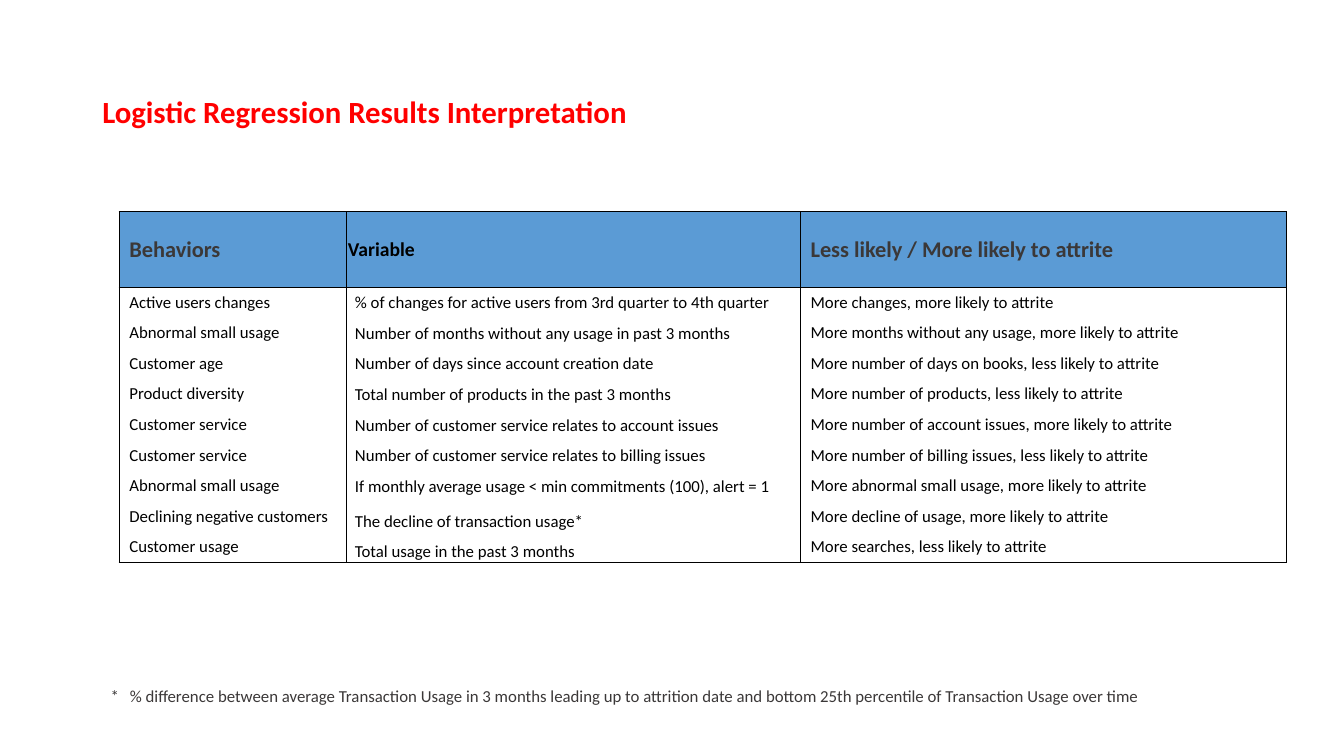
from collections import namedtuple

from lxml import etree
from pptx import Presentation
from pptx.dml.color import RGBColor
from pptx.enum.text import MSO_ANCHOR
from pptx.oxml.ns import qn
from pptx.util import Inches, Pt

TOP, MIDDLE, BOTTOM = MSO_ANCHOR.TOP, MSO_ANCHOR.MIDDLE, MSO_ANCHOR.BOTTOM
RED = RGBColor(0xFF, 0x00, 0x00)
BLACK = RGBColor(0x00, 0x00, 0x00)
WHITE = RGBColor(0xFF, 0xFF, 0xFF)
CHARCOAL = RGBColor(0x3B, 0x38, 0x38)
BLUE = RGBColor(0x5B, 0x9B, 0xD5)

SLIDE_WIDTH, SLIDE_HEIGHT = 13.33, 7.5
GRID_COLUMNS, GRID_ROWS = 160, 90
Box = namedtuple("Box", "left top width height")
TITLE_BOX = Box(11, 4.8, 138, 17.4)
TABLE_BOX = Box(14.2, 25.2, 139, 41.76)
FOOTNOTE_BOX = Box(12, 81.1, 129, 3.6)

COLUMN_WIDTHS = (27.1, 54, 57.9)
HEADER_HEIGHT = 9
HEADERS = (
    ("Behaviors", 16, CHARCOAL),
    ("Variable", 14, BLACK),
    ("Less likely / More likely to attrite", 16, CHARCOAL),
)
BEHAVIORS = (
    ("Active users changes",
     "% of changes for active users from 3rd quarter to 4th quarter",
     "More changes, more likely to attrite"),
    ("Abnormal small usage",
     "Number of months without any usage in past 3 months",
     "More months without any usage, more likely to attrite"),
    ("Customer age",
     "Number of days since account creation date",
     "More number of days on books, less likely to attrite"),
    ("Product diversity",
     "Total number of products in the past 3 months",
     "More number of products, less likely to attrite"),
    ("Customer service",
     "Number of customer service relates to account issues",
     "More number of account issues, more likely to attrite"),
    ("Customer service",
     "Number of customer service relates to billing issues",
     "More number of billing issues, less likely to attrite"),
    ("Abnormal small usage",
     "If monthly average usage < min commitments (100), alert = 1",
     "More abnormal small usage, more likely to attrite"),
    ("Declining negative customers",
     "The decline of transaction usage*",
     "More decline of usage, more likely to attrite"),
    ("Customer usage",
     "Total usage in the past 3 months",
     "More searches, less likely to attrite"),
)
VARIABLE_COLUMN = 1
BOTTOM_ALIGNED_ROWS = (8, 9)
FOOTNOTE = ("*\t% difference between average Transaction Usage in 3 months leading up to "
            "attrition date and bottom 25th percentile of Transaction Usage over time")


def across(columns):
    return Inches(columns * SLIDE_WIDTH / GRID_COLUMNS)


def down(rows):
    return Inches(rows * SLIDE_HEIGHT / GRID_ROWS)


def place(box):
    return across(box.left), down(box.top), across(box.width), down(box.height)


def write(frame, text, size=12, color=BLACK, bold=False, anchor=TOP):
    frame.word_wrap = True
    frame.vertical_anchor = anchor
    paragraph = frame.paragraphs[0]
    run = paragraph.add_run()
    run.text = text
    run.font.name = "Calibri"
    run.font.size = Pt(size)
    run.font.bold = bold
    run.font.color.rgb = color
    return paragraph


def set_borders(cell, visible_sides):
    properties = cell._tc.get_or_add_tcPr()
    for position, side in enumerate("LRTB"):
        line = etree.Element(qn(f"a:ln{side}"), w=str(Pt(1)))
        if side in visible_sides:
            fill = etree.SubElement(line, qn("a:solidFill"))
            etree.SubElement(fill, qn("a:srgbClr"), val=str(BLACK))
        else:
            etree.SubElement(line, qn("a:noFill"))
        properties.insert(position, line)


def format_cell(cell, fill, sides, variable_margin=None):
    cell.fill.solid()
    cell.fill.fore_color.rgb = fill
    if variable_margin is not None:
        cell.margin_left = Inches(variable_margin)
        cell.margin_right = cell.margin_top = Inches(0.01)
        cell.margin_bottom = 0
    set_borders(cell, sides)


def write_cell(cell, text, anchor=TOP, **text_format):
    write(cell.text_frame, text, **text_format)
    cell.vertical_anchor = anchor


def add_title(slide, box):
    shape = slide.shapes.add_textbox(*place(box))
    paragraph = write(shape.text_frame, "Logistic Regression Results Interpretation",
                      size=22, color=RED, bold=True, anchor=MIDDLE)
    paragraph.line_spacing = 0.9


def add_behavior_table(slide, box):
    row_count = len(BEHAVIORS) + 1
    table = slide.shapes.add_table(row_count, len(HEADERS), *place(box)).table
    table.first_row = table.horz_banding = False
    for column, width in zip(table.columns, COLUMN_WIDTHS):
        column.width = across(width)
    for row in table.rows:
        row.height = down((box.height - HEADER_HEIGHT) / len(BEHAVIORS))
    table.rows[0].height = down(HEADER_HEIGHT)

    for column, (text, size, color) in enumerate(HEADERS):
        cell = table.cell(0, column)
        write_cell(cell, text, size=size, color=color, bold=True, anchor=MIDDLE)
        format_cell(cell, BLUE, "LRTB", 0.01 if column == VARIABLE_COLUMN else None)

    for row, texts in enumerate(BEHAVIORS, start=1):
        sides = "LR" + "T" * (row == 1) + "B" * (row == row_count - 1)
        variable_anchor = BOTTOM if row in BOTTOM_ALIGNED_ROWS else MIDDLE
        for column, text in enumerate(texts):
            cell = table.cell(row, column)
            is_variable = column == VARIABLE_COLUMN
            write_cell(cell, text, anchor=variable_anchor if is_variable else TOP)
            format_cell(cell, WHITE, sides, 0.08 if is_variable else None)


def add_footnote(slide, box):
    shape = slide.shapes.add_textbox(*place(box))
    paragraph = write(shape.text_frame, FOOTNOTE, color=CHARCOAL)
    indent = Inches(0.19)
    properties = paragraph._p.get_or_add_pPr()
    properties.set("marL", str(indent))
    properties.set("indent", str(-indent))


presentation = Presentation()
presentation.slide_width = Inches(SLIDE_WIDTH)
presentation.slide_height = Inches(SLIDE_HEIGHT)
slide = presentation.slides.add_slide(presentation.slide_layouts[6])
add_title(slide, TITLE_BOX)
add_behavior_table(slide, TABLE_BOX)
add_footnote(slide, FOOTNOTE_BOX)
presentation.save("out.pptx")
